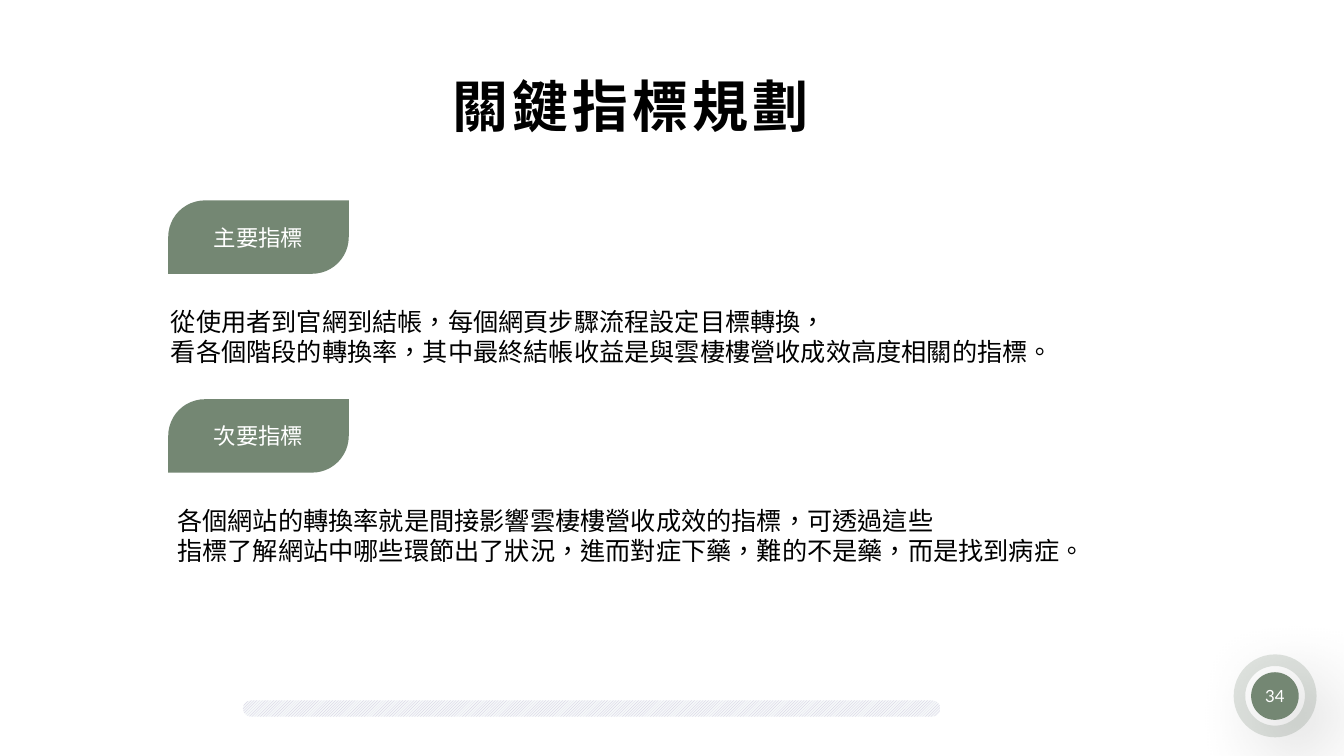
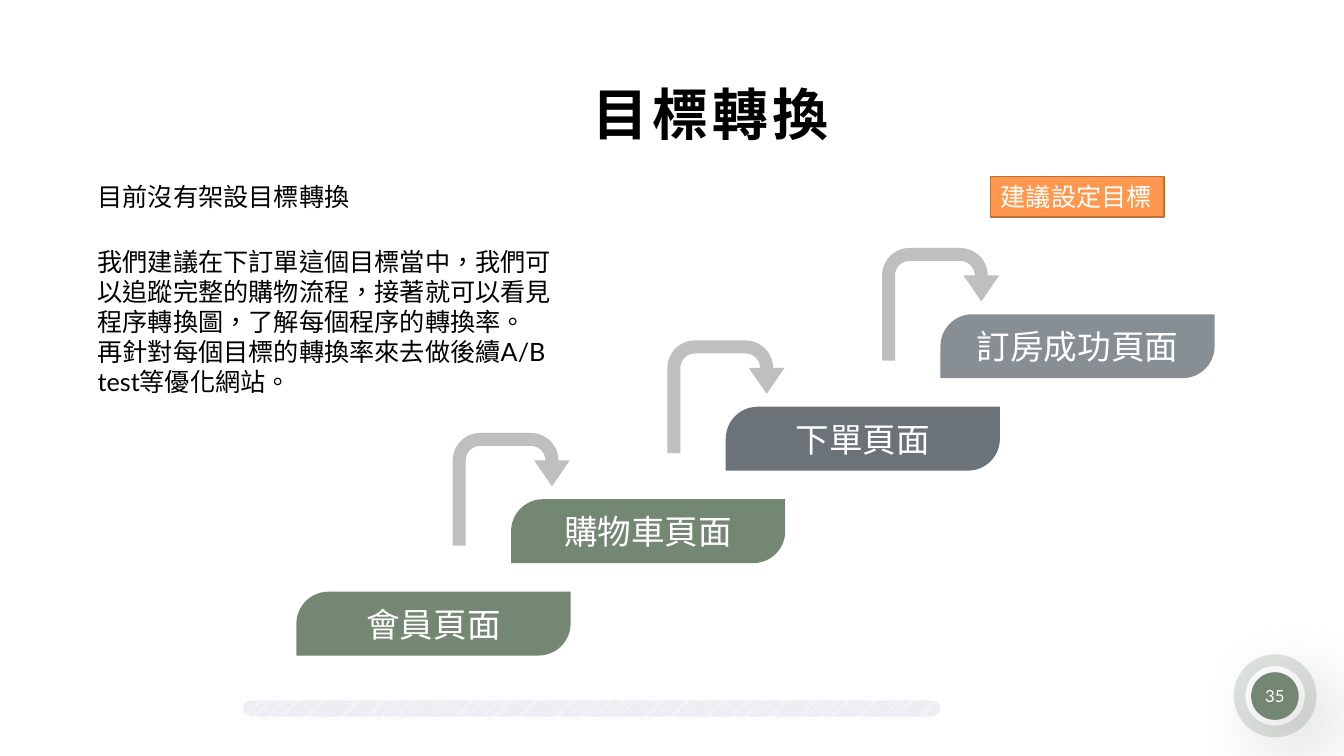
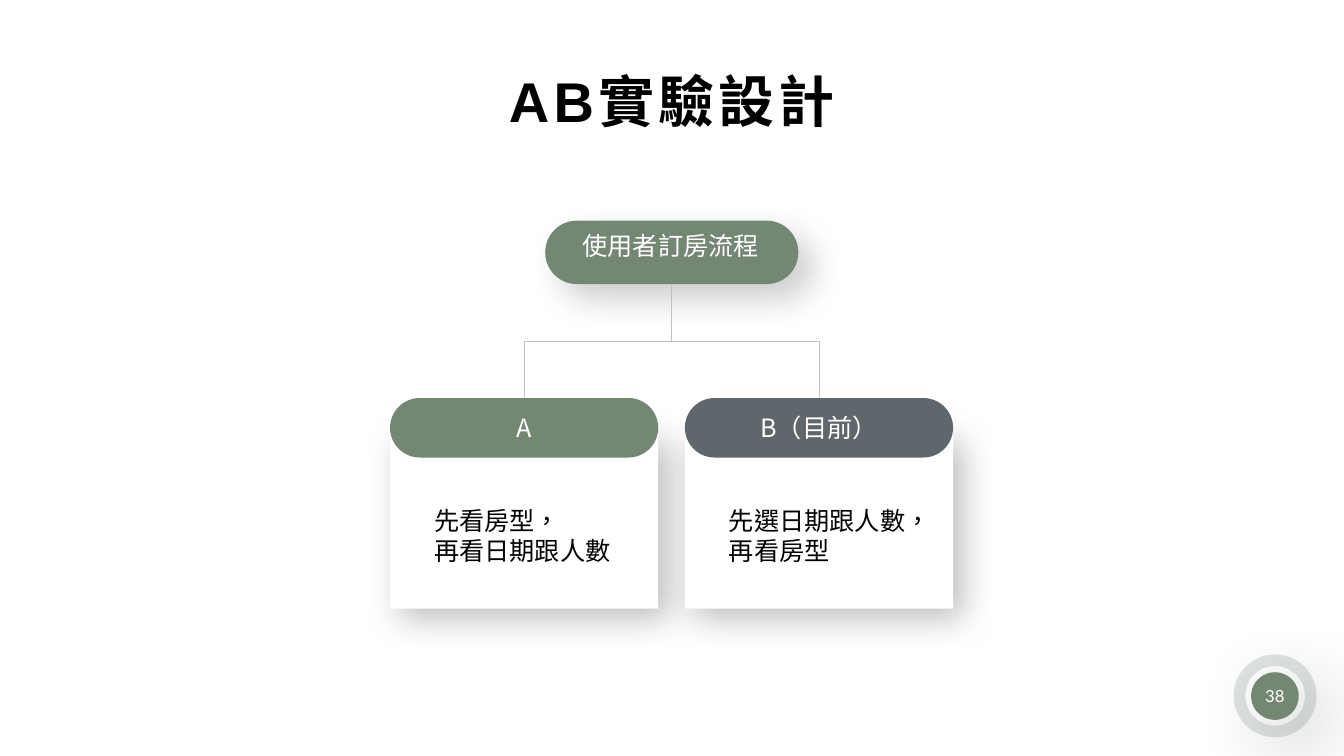
import dataclasses

import pptx
import pptx.dml.color
import pptx.enum.dml
import pptx.enum.lang
import pptx.enum.shapes
import pptx.enum.text
import pptx.oxml.ns
import pptx.util
from lxml import etree

Cm = pptx.util.Cm
Pt = pptx.util.Pt
qn = pptx.oxml.ns.qn
Shape = pptx.enum.shapes.MSO_SHAPE
Align = pptx.enum.text.PP_ALIGN
Anchor = pptx.enum.text.MSO_ANCHOR


@dataclasses.dataclass(frozen=True)
class Theme:
    # Colours
    white: str = "FFFFFF"
    black: str = "000000"
    green: str = "748773"
    slate: str = "6B7278"
    mist: str = "878F95"
    dark: str = "60676C"
    grey: str = "BFBFBF"
    orange: str = "FF974E"
    rust: str = "BD703A"
    stripe: str = "CCC3DB"
    stripe_back: str = "F5F8F9"
    # Type sizes
    title: int = 40
    step: int = 24
    body: int = 18
    label: int = 16
    number: int = 12
    # Fonts
    title_font: str = "Arial"
    body_font: str = "Lato"
    label_font: str = "Roboto Condensed"
    asian_font: str = "Noto Sans CJK SC"
    # Shadows: opacity %, blur pt, distance pt
    disc_shadow: tuple = (40, 59, 21)
    card_shadow: tuple = (25, 25, 10)
    root_shadow: tuple = (20, 25, 15)


def rgb(value):
    return pptx.dml.color.RGBColor.from_string(value)


class Slides:
    """Holds the style and the slide being drawn."""

    def __init__(self, theme):
        self.theme = theme
        self.deck = pptx.Presentation()
        self.deck.slide_width, self.deck.slide_height = Cm(33.87), Cm(19.05)
        self.page = None

    def new_page(self):
        self.page = self.deck.slides.add_slide(self.deck.slide_layouts[6])
        fill = self.page.background.fill
        fill.solid()
        fill.fore_color.rgb = rgb(self.theme.white)

    def set_text(self, box, lines, size, color, font=None, align=Align.LEFT,
                 anchor=Anchor.TOP, wrap=True, bold=False, spacing=0):
        frame = box.text_frame
        frame.word_wrap = wrap
        frame.vertical_anchor = anchor
        frame.text = "\n".join(lines)
        style = {
            "name": font or self.theme.body_font,
            "size": Pt(size),
            "bold": bold,
            "language_id": pptx.enum.lang.MSO_LANGUAGE_ID.TRADITIONAL_CHINESE,
        }
        for para in frame.paragraphs:
            para.alignment = align
            for span in para.runs:
                for name, value in style.items():
                    setattr(span.font, name, value)
                span.font.color.rgb = rgb(color)
                props = span.font._element
                etree.SubElement(props, qn("a:ea"), typeface=self.theme.asian_font)
                if spacing:
                    props.set("spc", str(spacing * 100))

    def text(self, at, lines, size=None, color=None, **style):
        box = self.page.shapes.add_textbox(*map(Cm, at))
        self.set_text(box, lines, size or self.theme.body,
                      color or self.theme.black, **style)
        box.text_frame.auto_size = pptx.enum.text.MSO_AUTO_SIZE.SHAPE_TO_FIT_TEXT
        return box

    def title(self, at, words, **style):
        self.text(at, [words], self.theme.title, font=self.theme.title_font,
                  bold=True, spacing=3, **style)

    def shape(self, kind, at, fill, adjust=(), shadow=None, opacity=None):
        box = self.page.shapes.add_shape(kind, *map(Cm, at))
        for index, value in enumerate(adjust):
            box.adjustments[index] = value
        box.fill.solid()
        box.fill.fore_color.rgb = rgb(fill)
        box.line.fill.background()
        box.shadow.inherit = False
        if opacity:
            color = box.element.spPr.find(qn("a:solidFill")).find(qn("a:srgbClr"))
            etree.SubElement(color, qn("a:alpha"), val=str(opacity * 1000))
        if shadow:
            self.cast_shadow(box, *shadow)
        return box

    def cast_shadow(self, box, opacity, blur, distance):
        effects = box.element.spPr.find(qn("a:effectLst"))
        outer = etree.SubElement(
            effects, qn("a:outerShdw"), blurRad=str(int(Pt(blur))),
            dist=str(int(Pt(distance))), dir=str(45 * 60000),
            algn="tl", rotWithShape="0")
        color = etree.SubElement(outer, qn("a:srgbClr"), val=self.theme.black)
        etree.SubElement(color, qn("a:alpha"), val=str(opacity * 1000))

    def leaf(self, at, words, fill, size):
        box = self.shape(Shape.ROUND_2_DIAG_RECTANGLE, at, fill, (0.5, 0))
        self.set_text(box, [words], size, self.theme.white, self.theme.label_font,
                      Align.CENTER, Anchor.MIDDLE)

    def pill(self, at, fill, words=None, shadow=None):
        box = self.shape(Shape.ROUNDED_RECTANGLE, at, fill, (0.5,), shadow)
        if words:
            self.set_text(box, [words], self.theme.body, self.theme.white,
                          self.theme.asian_font, Align.CENTER, Anchor.MIDDLE)
        return box

    def branch(self, parent, child):
        """Elbow from the bottom of parent to the top of child."""
        line = self.page.shapes.add_connector(
            pptx.enum.shapes.MSO_CONNECTOR.ELBOW, 0, 0, 0, 0)
        line.begin_connect(parent, 2)
        line.end_connect(child, 0)
        start = parent.left + parent.width // 2, parent.top + parent.height
        end = child.left + child.width // 2, child.top
        across, down = end[0] - start[0], end[1] - start[1]
        # A quarter turn makes the elbow leave vertically
        line.width, line.height = down, abs(across)
        line.left = (start[0] + end[0] - down) // 2
        line.top = (start[1] + end[1] - abs(across)) // 2
        frame = line.element.spPr.find(qn("a:xfrm"))
        for name in ("flipH", "flipV"):
            frame.attrib.pop(name, None)
        frame.set("rot", str((270 if across > 0 else 90) * 60000))
        if across > 0:
            frame.set("flipH", "1")
        line.line.color.rgb = rgb(self.theme.grey)
        line.line.width = Pt(0.5)
        etree.SubElement(line.element.spPr, qn("a:effectLst"))

    def page_number(self, number):
        theme = self.theme
        self.shape(Shape.DONUT, (31.09, 16.49, 2.09, 2.09), theme.green, (0.14,),
                   opacity=22)
        self.shape(Shape.OVAL, (31.53, 16.94, 1.2, 1.2), theme.green,
                   shadow=theme.disc_shadow)
        self.text((31.28, 17.15, 1.7, 0.76), [str(number)], theme.number,
                  theme.white, align=Align.CENTER)

    def striped_bar(self):
        fill = self.pill((6.12, 17.65, 17.58, 0.41), self.theme.stripe).fill
        fill.patterned()
        fill.pattern = pptx.enum.dml.MSO_PATTERN.LIGHT_UPWARD_DIAGONAL
        fill.fore_color.rgb = rgb(self.theme.stripe)
        fill.back_color.rgb = rgb(self.theme.stripe_back)


def key_metrics(slides):
    theme = slides.theme
    slides.new_page()
    slides.title((11.15, 1.68, 9.7, 1.96), "關鍵指標規劃", wrap=False)
    slides.page_number(34)
    slides.striped_bar()
    for top, words in ((5.05, "主要指標"), (10.06, "次要指標")):
        slides.leaf((4.24, top, 4.55, 1.85), words, theme.green, theme.label)
    slides.text((4.06, 7.59, 22.91, 1.8), [
        "從使用者到官網到結帳，每個網頁步驟流程設定目標轉換，",
        "看各個階段的轉換率，其中最終結帳收益是與雲棲樓營收成效高度相關的指標。"])
    slides.text((4.22, 12.6, 23.6, 1.8), [
        "各個網站的轉換率就是間接影響雲棲樓營收成效的指標，可透過這些",
        "指標了解網站中哪些環節出了狀況，進而對症下藥，難的不是藥，而是找到病症。"],
        wrap=False)


def goal_conversion(slides):
    theme = slides.theme
    slides.new_page()
    # Staircase, with an arrow from each step to the next
    steps = (("會員頁面", theme.green), ("購物車頁面", theme.green),
             ("下單頁面", theme.slate), ("訂房成功頁面", theme.mist))
    for index, (words, fill) in enumerate(steps):
        left, top = 7.47 + 5.41 * index, 14.91 - 2.33 * index
        slides.leaf((left, top, 6.91, 1.61), words, fill, theme.step)
        if index < len(steps) - 1:
            slides.shape(Shape.U_TURN_ARROW, (left + 3.94, top - 4, 2.95, 2.84),
                         theme.grey, (0.115, 0.158, 0.23, 0.244, 0.474))
    slides.title((14.68, 1.88, 6.63, 1.96), "目標轉換", wrap=False)
    slides.page_number(35)
    slides.striped_bar()
    # Situation and advice
    slides.text((2.21, 4.45, 6.93, 1.02), ["目前沒有架設目標轉換"], wrap=False)
    advice = slides.text((24.97, 4.45, 4.37, 1.02), ["建議設定目標"],
                         color=theme.white, wrap=False)
    advice.fill.solid()
    advice.fill.fore_color.rgb = rgb(theme.orange)
    advice.line.color.rgb = rgb(theme.rust)
    advice.line.width = Pt(1)
    slides.text((2.21, 6.07, 12.42, 4.11), [
        "我們建議在下訂單這個目標當中，我們可以追蹤完整的購物流程，"
        "接著就可以看見程序轉換圖，了解每個程序的轉換率。",
        "再針對每個目標的轉換率來去做後續A/B test等優化網站。"])


def ab_experiment(slides):
    theme = slides.theme
    slides.new_page()
    pitch = 7.43
    variants = (
        ("A", theme.green, 5, ["先看房型，", "再看日期跟人數"]),
        ("B（目前）", theme.dark, 5.64, ["先選日期跟人數，", "再看房型"]))
    # Cards lie under the headers
    for index in range(len(variants)):
        slides.shape(Shape.RECTANGLE, (9.83 + pitch * index, 10.87, 6.76, 4.47),
                     theme.white, shadow=theme.card_shadow)
    root = slides.pill((13.74, 5.56, 6.38, 1.6), theme.green,
                       shadow=theme.root_shadow)
    slides.text((14.43, 5.69, 5, 1.02), ["使用者訂房流程"], color=theme.white,
                font=theme.asian_font, wrap=False)
    for index, (words, fill, width, notes) in enumerate(variants):
        shift = pitch * index
        header = slides.pill((9.83 + shift, 10.03, 6.76, 1.5), fill, words)
        slides.branch(root, header)
        slides.text((10.69 + shift, 12.61, width, 1.8), notes, wrap=False)
    slides.title((12.5, 1.55, 8.86, 1.96), "AB實驗設計", align=Align.CENTER)
    slides.page_number(38)


def main():
    slides = Slides(Theme())
    for build in (key_metrics, goal_conversion, ab_experiment):
        build(slides)
    slides.deck.save("out.pptx")


if __name__ == "__main__":
    main()
